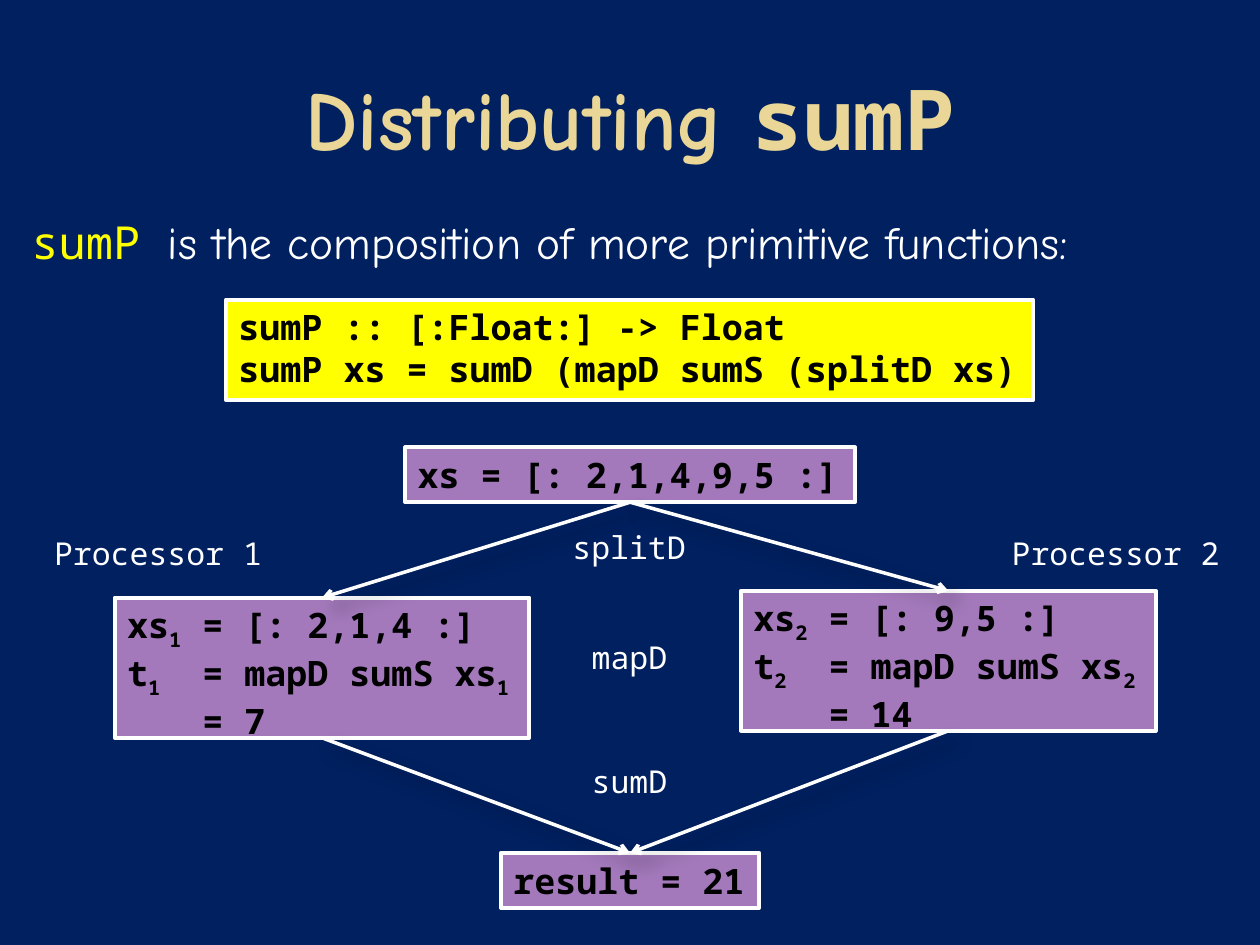
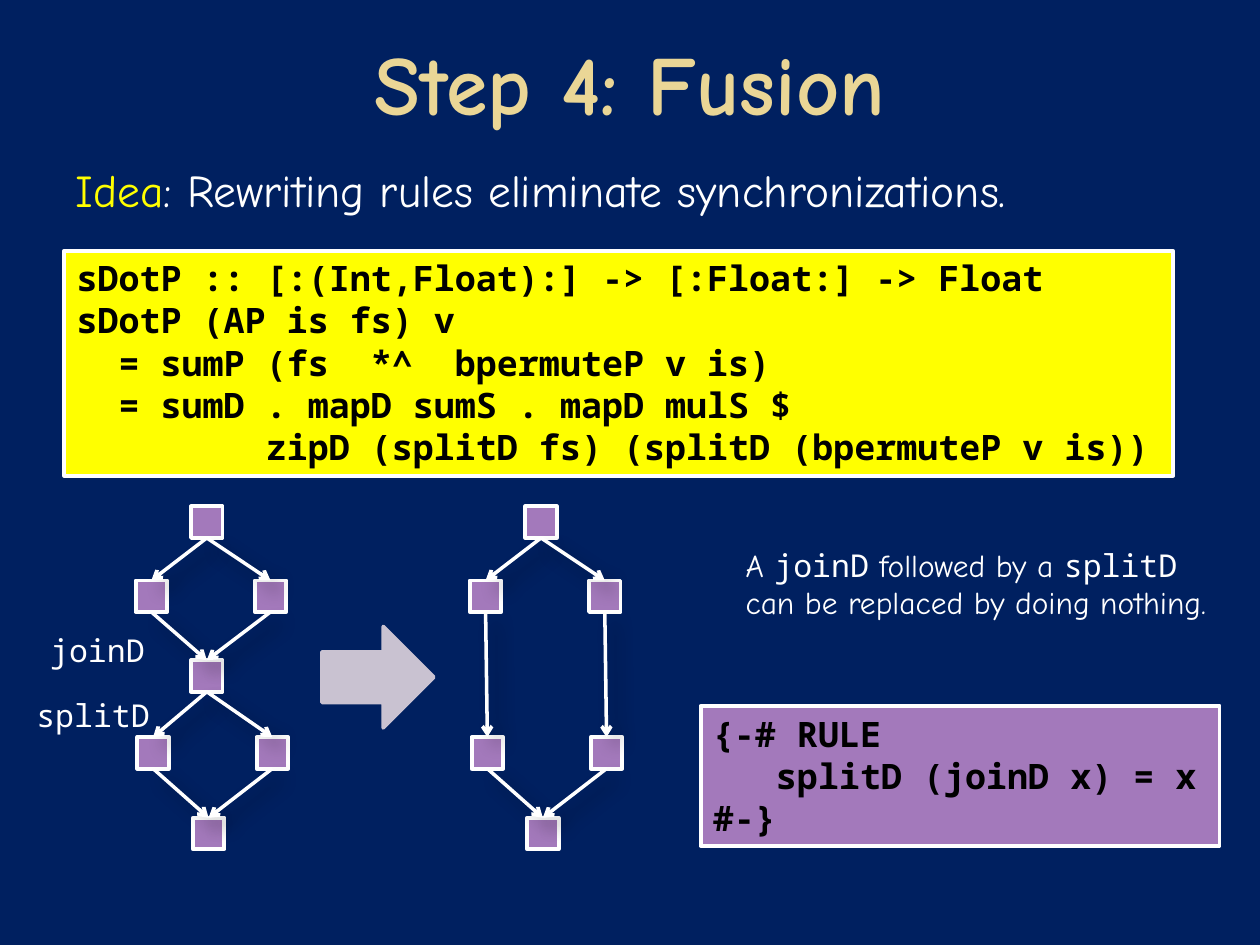
from dataclasses import dataclass

from lxml import etree
from pptx import Presentation
from pptx.dml.color import RGBColor
from pptx.enum.shapes import MSO_CONNECTOR as Connector, MSO_SHAPE as Shape
from pptx.enum.text import MSO_ANCHOR as Anchor, PP_ALIGN as Align
from pptx.oxml import parse_xml
from pptx.oxml.ns import nsdecls, qn
from pptx.util import Pt


@dataclass(frozen=True)
class Theme:
    navy: str = "002060"
    gold: str = "EAD696"
    yellow: str = "FFFF00"
    purple: str = "A379BB"
    mauve: str = "C9C2D1"
    white: str = "FFFFFF"
    black: str = "000000"
    hand: str = "Comic Neue"
    mono: str = "Noto Sans Mono"
    title_size: float = 48
    body_size: float = 26
    code_size: float = 20
    label_size: float = 18
    border: float = 2.25
    stroke: float = 2


theme = Theme()
rgb = RGBColor.from_string

TITLE = dict(font=theme.hand, size=theme.title_size, color=theme.gold, bold=True,
             align=Align.CENTER, anchor=Anchor.MIDDLE, wrap=True)
BODY = dict(font=theme.hand, size=theme.body_size, wrap=True)
CODE = dict(size=theme.code_size, color=theme.black, bold=True)
YELLOW_CODE = dict(CODE, fill=theme.yellow)
PURPLE_CODE = dict(CODE, fill=theme.purple)
MONO = dict(font=theme.mono)
SUBSCRIPT = dict(baseline=-25000)

SHADOW = f"""<a:effectLst {nsdecls('a')}>
  <a:outerShdw blurRad="{Pt(10.2)}" dist="{Pt(8)}" dir="2700000">
    <a:srgbClr val="{theme.black}"><a:alpha val="35000"/></a:srgbClr>
  </a:outerShdw>
</a:effectLst>"""


def add_text(page, frame, lines, fill=None, shape=Shape.RECTANGLE, border=theme.white,
             border_width=theme.border, font=theme.mono, size=theme.label_size,
             color=theme.white, bold=False, align=Align.LEFT, anchor=Anchor.TOP, wrap=False):
    """Add a text box, or a filled shape if fill is given.

    A line is a string or a list of (text, format changes) spans.
    """
    frame = [Pt(length) for length in frame]
    if fill:
        box = page.shapes.add_shape(shape, *frame)
        box.shadow.inherit = False
        box.fill.solid()
        box.fill.fore_color.rgb = rgb(fill)
        box.line.color.rgb = rgb(border)
        box.line.width = Pt(border_width)
    else:
        box = page.shapes.add_textbox(*frame)
    text = box.text_frame
    text.word_wrap = wrap
    text.vertical_anchor = anchor
    for index, line in enumerate(lines):
        para = text.add_paragraph() if index else text.paragraphs[0]
        para.alignment = align
        for words, changes in [(line, {})] if isinstance(line, str) else line:
            span = para.add_run()
            span.text = words
            span.font.name = changes.get("font", font)
            span.font.size = Pt(size)
            span.font.bold = bold
            span.font.color.rgb = rgb(changes.get("color", color))
            if "baseline" in changes:
                span._r.get_or_add_rPr().set("baseline", str(changes["baseline"]))
    return box


def add_arrow(page, upper, lower):
    """Draw an arrow from the bottom of upper to the top of lower."""
    arrow = page.shapes.add_connector(Connector.STRAIGHT, 0, 0, 0, 0)
    arrow.begin_connect(upper, 2)
    arrow.end_connect(lower, 0)
    arrow.line.color.rgb = rgb(theme.white)
    arrow.line.width = Pt(theme.stroke)
    etree.SubElement(arrow.line._get_or_add_ln(), qn("a:tailEnd"), type="arrow")
    arrow._element.spPr.append(parse_xml(SHADOW))


deck = Presentation()
deck.slide_width, deck.slide_height = Pt(720), Pt(540)
pages = [deck.slides.add_slide(deck.slide_layouts[6]) for _ in range(2)]
for page in pages:
    page.background.fill.solid()
    page.background.fill.fore_color.rgb = rgb(theme.navy)
sum_page, fusion_page = pages

# Distributing sumP
add_text(sum_page, (36, 21.6, 648, 90), [[("Distributing ", {}), ("sumP", MONO)]], **TITLE)
add_text(sum_page, (10.8, 118.8, 700, 40),
         [[("sumP ", dict(MONO, color=theme.yellow)),
           ("is the composition of more primitive functions:", {})]], **BODY)
add_text(sum_page, (129.2, 171.2, 461.2, 57.6),
         ["sumP :: [:Float:] -> Float",
          "sumP xs = sumD (mapD sumS (splitD xs)"], **YELLOW_CODE)

source = add_text(sum_page, (231.6, 255.6, 257, 31.4), ["xs = [: 2,1,4,9,5 :]"], **PURPLE_CODE)
result = add_text(sum_page, (286.2, 487.4, 147.6, 31.4), ["result = 21"], **PURPLE_CODE)
for number, left, top, items, total, label_left in [
    ("1", 65.5, 341.6, "2,1,4", "7", 23.8),
    ("2", 423.4, 337.6, "9,5", "14", 571),
]:
    index = (number, SUBSCRIPT)
    worker = add_text(sum_page, (left, top, 237, 80), [
        [("xs", {}), index, (f" = [: {items} :]", {})],
        [("t", {}), index, ("  = mapD sumS xs", {}), index],
        [(" ", SUBSCRIPT), (f"   = {total}", {})],
    ], **PURPLE_CODE)
    add_arrow(sum_page, source, worker)
    add_arrow(sum_page, worker, result)
    add_text(sum_page, (label_left, 301.7, 134.6, 29), [f"Processor {number}"])

for step, left, top, width in [("splitD", 320, 298, 80), ("mapD", 331, 361, 58),
                               ("sumD", 331, 432, 58)]:
    add_text(sum_page, (left, top, width, 29), [step])

# Step 4: Fusion
add_text(fusion_page, (36, 8.6, 648, 76.3), ["Step 4: Fusion"], **TITLE)
add_text(fusion_page, (36, 89.3, 675, 45),
         [[("Idea", dict(color=theme.yellow)),
           (": Rewriting rules eliminate synchronizations.", {})]], **BODY)
add_text(fusion_page, (36.7, 143.3, 633.6, 128.6),
         ["sDotP :: [:(Int,Float):] -> [:Float:] -> Float",
          "sDotP (AP is fs) v",
          "  = sumP (fs  *^  bpermuteP v is)",
          "  = sumD . mapD sumS . mapD mulS $",
          "         zipD (splitD fs) (splitD (bpermuteP v is))"],
         wrap=True, **YELLOW_CODE)

node_places = {
    "start": (109.2, 289.4),
    "left above": (77.5, 331.7), "right above": (145.6, 331.7),
    "join": (109.2, 377.3),
    "left below": (78.5, 421.2), "right below": (146.6, 421.2),
    "end": (110.2, 467.3),
}
for graph_left, has_join in [(0, True), (191, False)]:
    nodes = {
        name: add_text(fusion_page, (graph_left + left, top, 18, 18), [], fill=theme.purple)
        for name, (left, top) in node_places.items()
        if has_join or name != "join"
    }
    for side in ("left", "right"):
        steps = ["start", f"{side} above", "join", f"{side} below", "end"]
        chain = [nodes[step] for step in steps if step in nodes]
        for upper, lower in zip(chain, chain[1:]):
            add_arrow(fusion_page, upper, lower)

add_text(fusion_page, (21.6, 357.1, 69, 29), ["joinD"])
add_text(fusion_page, (13.7, 394, 80, 29), ["splitD"])
add_text(fusion_page, (184, 358, 64, 58), [], fill=theme.mauve, shape=Shape.RIGHT_ARROW,
         border=theme.mauve, border_width=theme.stroke)
add_text(fusion_page, (419, 308.2, 292.3, 51),
         [[("A ", {}), ("joinD", MONO), (" followed by a ", {}), ("splitD", MONO)],
          "can be replaced by doing nothing."], font=theme.hand, wrap=True)
add_text(fusion_page, (400.3, 403.4, 296.6, 80),
         ["{-# RULE", "   splitD (joinD x) = x", "#-}"], wrap=True, **PURPLE_CODE)

deck.save("out.pptx")
